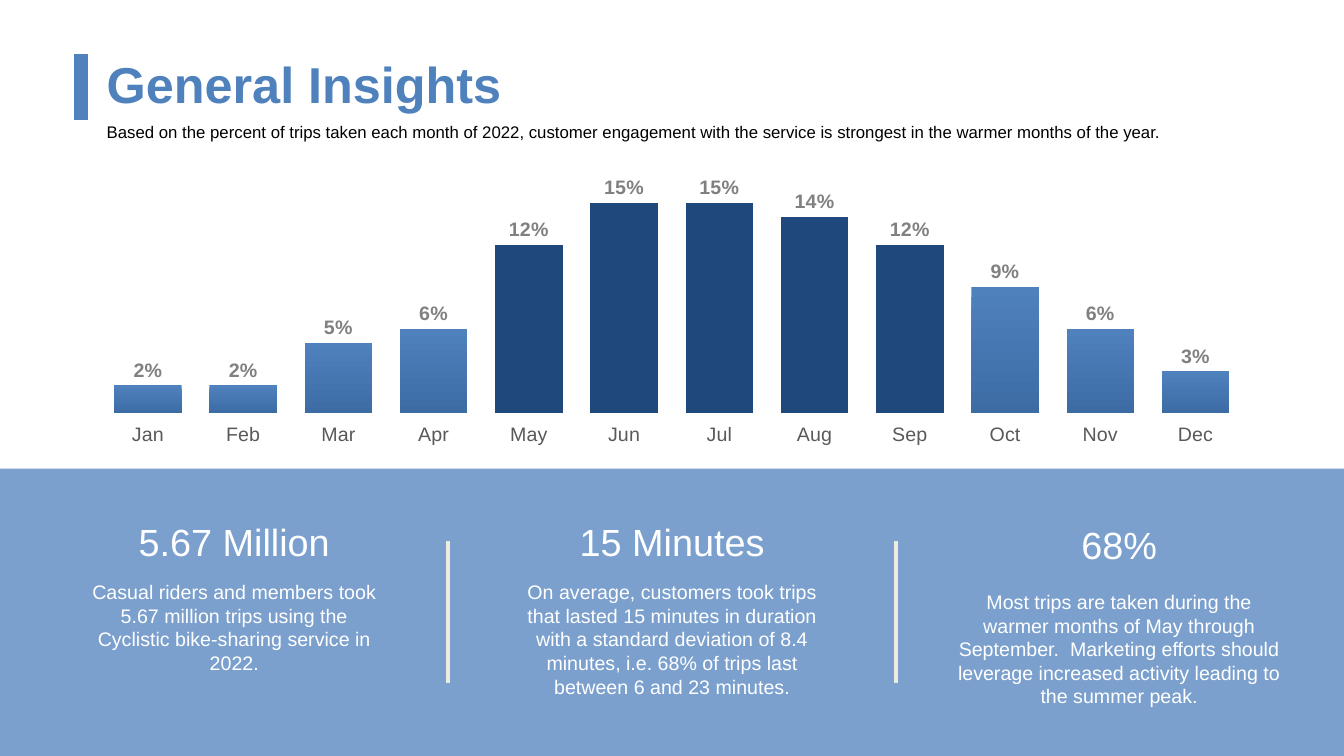
from lxml import etree
from pptx import Presentation
from pptx.chart.data import CategoryChartData
from pptx.dml.color import RGBColor
from pptx.enum.chart import XL_CHART_TYPE, XL_LABEL_POSITION, XL_TICK_LABEL_POSITION, XL_TICK_MARK
from pptx.enum.shapes import MSO_CONNECTOR, MSO_SHAPE
from pptx.enum.text import MSO_ANCHOR, PP_ALIGN
from pptx.oxml import parse_xml
from pptx.oxml.ns import nsdecls, qn
from pptx.util import Cm, Pt

COLUMNS = XL_CHART_TYPE.COLUMN_CLUSTERED
OUTSIDE_END = XL_LABEL_POSITION.OUTSIDE_END
LOW = XL_TICK_LABEL_POSITION.LOW
NO_TICKS = XL_TICK_MARK.NONE
STRAIGHT = MSO_CONNECTOR.STRAIGHT
RECTANGLE = MSO_SHAPE.RECTANGLE
MIDDLE = MSO_ANCHOR.MIDDLE
LEFT, CENTER = PP_ALIGN.LEFT, PP_ALIGN.CENTER

BLUE = RGBColor(0x4F, 0x81, 0xBD)
SHADED_BLUE = RGBColor(0x3D, 0x6C, 0xA4)
NAVY = RGBColor(0x1F, 0x49, 0x7D)
CREAM = RGBColor(0xEE, 0xEC, 0xE1)
GRAY = RGBColor(0x80, 0x80, 0x80)
DARK_GRAY = RGBColor(0x59, 0x59, 0x59)
BLACK = RGBColor(0, 0, 0)
WHITE = RGBColor(0xFF, 0xFF, 0xFF)
FONT = "Arial"

prs = Presentation()
prs.slide_width, prs.slide_height = Cm(33.87), Cm(19.05)
slide = prs.slides.add_slide(prs.slide_layouts[6])


def add_text(left, top, width, height, lines, align, color):
    """Add a middle-anchored box; lines holds (text, size, bold, space after)."""
    frame = slide.shapes.add_textbox(Cm(left), Cm(top), Cm(width), Cm(height)).text_frame
    frame.word_wrap = True
    frame.vertical_anchor = MIDDLE
    for index, (text, size, bold, gap) in enumerate(lines):
        paragraph = frame.add_paragraph() if index else frame.paragraphs[0]
        paragraph.text = text
        paragraph.alignment = align
        paragraph.space_after = Pt(gap)
        font = paragraph.runs[0].font
        font.name, font.size, font.bold = FONT, Pt(size), bold
        font.color.rgb = color


def add_vertical_rule(x, top, bottom, color, weight):
    rule = slide.shapes.add_connector(STRAIGHT, Cm(x), Cm(top), Cm(x), Cm(bottom))
    rule.line.color.rgb = color
    rule.line.width = Pt(weight)
    etree.SubElement(rule._element.spPr, qn("a:effectLst"))


# Heading
add_vertical_rule(2.04, 1.37, 3.02, BLUE, 10)
add_text(2.44, 1.24, 29.57, 1.73, [("General Insights", 36, True, 0)], LEFT, BLUE)
add_text(2.44, 2.65, 29.57, 1.32, [(
    "Based on the percent of trips taken each month of 2022, customer engagement "
    "with the service is strongest in the warmer months of the year.", 12, False, 0)],
    LEFT, BLACK)

# Band behind the key figures
band = slide.shapes.add_shape(RECTANGLE, 0, Cm(11.81), prs.slide_width, Cm(7.24))
band.shadow.inherit = False
band.line.fill.background()
band.fill.solid()
band.fill.fore_color.rgb = BLUE
band_color = band._element.spPr.find(qn("a:solidFill"))[0]
etree.SubElement(band_color, qn("a:alpha"), val="75000")

# Monthly share of trips
share_by_month = {
    "Jan": 0.02, "Feb": 0.02, "Mar": 0.05, "Apr": 0.06, "May": 0.12, "Jun": 0.15,
    "Jul": 0.15, "Aug": 0.14, "Sep": 0.12, "Oct": 0.09, "Nov": 0.06, "Dec": 0.03,
}
warm_months = ("May", "Jun", "Jul", "Aug", "Sep")
trip_data = CategoryChartData(number_format="0%")
trip_data.categories = list(share_by_month)
trip_data.add_series("Series 1", list(share_by_month.values()))
chart = slide.shapes.add_chart(
    COLUMNS, Cm(1.93), Cm(4.45), Cm(30), Cm(6.78), trip_data).chart
chart.has_legend = False
chart.has_title = False
chart.font.name, chart.font.size = FONT, Pt(14)
chart.font.color.rgb = BLACK

share_axis = chart.value_axis
share_axis.visible = False
share_axis.has_major_gridlines = False
share_axis.minimum_scale, share_axis.maximum_scale = 0, 0.16
month_axis = chart.category_axis
month_axis.major_tick_mark = NO_TICKS
month_axis.tick_label_position = LOW
month_axis.format.line.fill.background()
month_axis.tick_labels.offset = 0
month_axis.tick_labels.font.name = FONT
month_axis.tick_labels.font.size = Pt(14)
month_axis.tick_labels.font.color.rgb = DARK_GRAY

plot = chart.plots[0]
plot.gap_width = 41
plot.vary_by_categories = False
plot.has_data_labels = True
labels = plot.data_labels
labels.show_value = True
labels.position = OUTSIDE_END
labels.number_format, labels.number_format_is_linked = "0%", False
labels.font.name, labels.font.size, labels.font.bold = FONT, Pt(14), True
labels.font.color.rgb = GRAY

trips = plot.series[0]
trips.invert_if_negative = False
trips.format.fill.gradient()
trips.format.fill.gradient_angle = 270
for stop, color in zip(trips.format.fill.gradient_stops, (BLUE, SHADED_BLUE)):
    stop.color.rgb = color
for index, month in enumerate(share_by_month):
    if month in warm_months:
        fill = trips.points[index].format.fill
        fill.solid()
        fill.fore_color.rgb = NAVY

plot_area = chart._chartSpace.chart.plotArea
for old_layout in plot_area.findall(qn("c:layout")):
    plot_area.remove(old_layout)
plot_area.insert(0, parse_xml(
    f'<c:layout {nsdecls("c")}><c:manualLayout><c:layoutTarget val="inner"/>'
    '<c:xMode val="edge"/><c:yMode val="edge"/><c:x val="0.02"/><c:y val="0.04"/>'
    '<c:w val="0.96"/><c:h val="0.84"/></c:manualLayout></c:layout>'))

# Key figures
for third in (1, 2):
    add_vertical_rule(11.29 * third, 13.64, 17.22, CREAM, 3)

key_figures = [
    (2.03, 12.62, 7.75, 4.83, 11.5, "5.67 Million",
     "Casual riders and members took 5.67 million trips using the Cyclistic "
     "bike-sharing service in 2022."),
    (12.8, 12.83, 8.28, 5, 11.5, "15 Minutes",
     "On average, customers took trips that lasted 15 minutes in duration with a "
     "standard deviation of 8.4 minutes, i.e. 68% of trips last between 6 and 23 minutes."),
    (23.72, 12.93, 8.97, 5.13, 16, "68%",
     "Most trips are taken during the warmer months of May through September.  Marketing "
     "efforts should leverage increased activity leading to the summer peak."),
]
for left, top, width, height, gap, figure, explanation in key_figures:
    add_text(left, top, width, height,
             [(figure, 27, False, gap), (explanation, 14, False, 0)], CENTER, WHITE)

prs.save("out.pptx")
